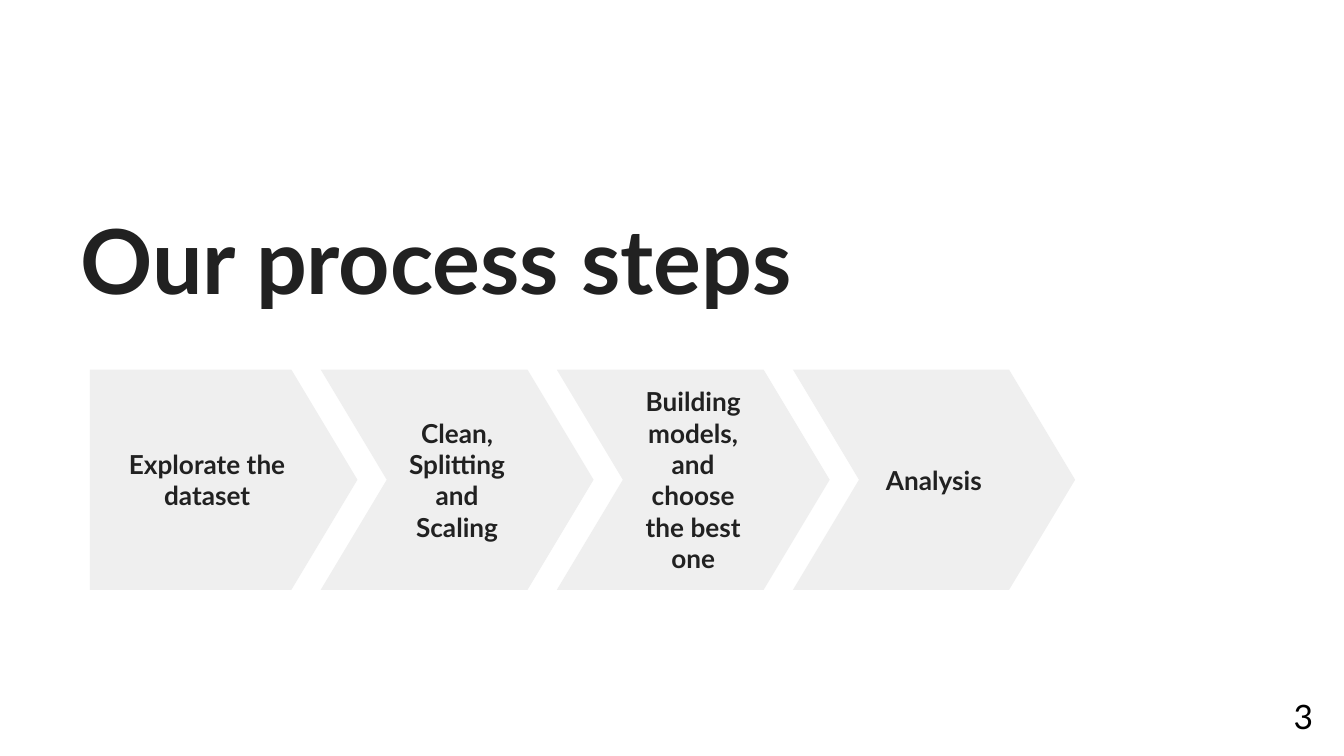
from pptx import Presentation
from pptx.dml.color import RGBColor
from pptx.enum.shapes import MSO_SHAPE
from pptx.enum.text import MSO_ANCHOR, PP_ALIGN
from pptx.util import Pt

COLORS = {"ink": "212121", "step": "EFEFEF", "number": "000000", "page": "FFFFFF"}
FONT = "Lato"
INSET = 7.2

STEP_LEFT, STEP_TOP, STEP_HEIGHT = 48.2, 198, 118.1
STEP_OVERLAP = 19.7
# preset shape, point depth, width, paragraphs
STEPS = [
    (MSO_SHAPE.PENTAGON, 0.3, 143.3, ["Explorate the dataset"]),
    (MSO_SHAPE.CHEVRON, 0.3, 146.2, ["Clean,", "Splitting and Scaling"]),
    (MSO_SHAPE.CHEVRON, 0.3, 146.2, ["Building models, and choose the best one"]),
    (MSO_SHAPE.CHEVRON, 0.3, 151.2, ["Analysis"]),
]


def rgb(name):
    return RGBColor.from_string(COLORS[name])


def write(frame, lines, size, color, bold, align, anchor, line_spacing=1.0):
    """Fill a text frame with one paragraph per line."""
    frame.word_wrap = True
    frame.vertical_anchor = anchor
    frame.margin_left = frame.margin_right = Pt(INSET)
    frame.margin_top = frame.margin_bottom = Pt(INSET)
    for index, line in enumerate(lines):
        paragraph = frame.add_paragraph() if index else frame.paragraphs[0]
        paragraph.alignment = align
        paragraph.line_spacing = line_spacing
        run = paragraph.add_run()
        run.text = line
        run.font.name = FONT
        run.font.size = Pt(size)
        run.font.bold = bold
        run.font.color.rgb = rgb(color)


def add_title(slide, text):
    title = slide.shapes.add_textbox(Pt(36), Pt(106.6), Pt(434), Pt(67.7))
    write(title.text_frame, [text], 48, "ink", True,
          PP_ALIGN.LEFT, MSO_ANCHOR.BOTTOM, 0.8)


def add_page_number(slide, number):
    page_number = slide.shapes.add_textbox(Pt(667.4), Pt(368), Pt(43.2), Pt(31))
    write(page_number.text_frame, [number], 18, "number", False,
          PP_ALIGN.RIGHT, MSO_ANCHOR.MIDDLE)


def add_step(slide, preset, depth, left, width, lines):
    step = slide.shapes.add_shape(
        preset, Pt(left), Pt(STEP_TOP), Pt(width), Pt(STEP_HEIGHT))
    step.adjustments[0] = depth
    step.shadow.inherit = False
    step.fill.solid()
    step.fill.fore_color.rgb = rgb("step")
    step.line.fill.background()
    write(step.text_frame, lines, 14, "ink", True,
          PP_ALIGN.CENTER, MSO_ANCHOR.MIDDLE)


def add_process(slide):
    """Lay the steps out in a row, each tucked into the point before it."""
    left = STEP_LEFT
    for preset, depth, width, lines in STEPS:
        add_step(slide, preset, depth, left, width, lines)
        left += width - STEP_OVERLAP


def main():
    deck = Presentation()
    deck.slide_width, deck.slide_height = Pt(720), Pt(405)
    slide = deck.slides.add_slide(deck.slide_layouts[6])
    slide.background.fill.solid()
    slide.background.fill.fore_color.rgb = rgb("page")
    add_title(slide, "Our process steps")
    add_process(slide)
    add_page_number(slide, "3")
    deck.save("out.pptx")


if __name__ == "__main__":
    main()
